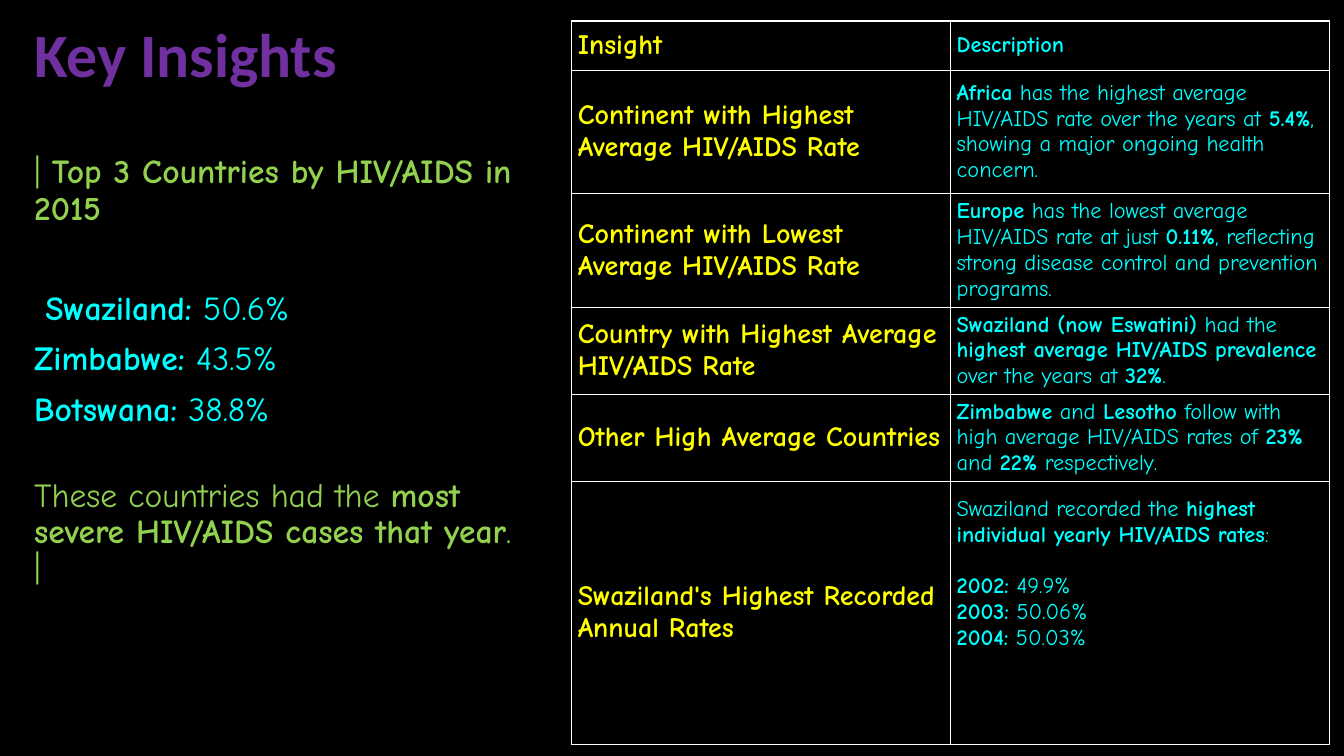
from pptx import Presentation
from pptx.dml.color import RGBColor
from pptx.enum.text import MSO_ANCHOR
from pptx.oxml import parse_xml
from pptx.oxml.ns import nsdecls
from pptx.util import Cm, Pt

HUES = {
    "black": "000000",
    "white": "FFFFFF",
    "purple": "7030A0",
    "green": "92D050",
    "cyan": "00FFFF",
    "yellow": "FFFF00",
}


def write(para, text, size, hue, face="Comic Neue"):
    para.font.size = Pt(size)
    para.font.name = face
    para.font.color.rgb = RGBColor.from_string(HUES[hue])
    for i, part in enumerate(text.split("**")):
        if part:
            run = para.add_run()
            run.text = part
            run.font.bold = i % 2 == 1


def add_box(left, top, width, height):
    frame = slide.shapes.add_textbox(Cm(left), Cm(top), Cm(width), Cm(height)).text_frame
    frame.word_wrap = True
    return frame


deck = Presentation()
deck.slide_width, deck.slide_height = Cm(33.87), Cm(19.05)
slide = deck.slides.add_slide(deck.slide_layouts[6])
slide.background.fill.solid()
slide.background.fill.fore_color.rgb = RGBColor.from_string(HUES["black"])

title = add_box(0.61, 0.53, 12.65, 1.88)
title.vertical_anchor = MSO_ANCHOR.BOTTOM
title.paragraphs[0].line_spacing = 0.9
write(title.paragraphs[0], "**Key Insights**", 44, "purple", "Calibri")

points = [
    ("| **Top 3 Countries by HIV/AIDS in 2015**", "green", 10),
    (" **Swaziland:** 50.6%", "cyan", 45.7),
    ("**Zimbabwe:** 43.5%", "cyan", 10),
    ("**Botswana:** 38.8%", "cyan", 10),
    ("These countries had the **most severe HIV/AIDS cases that year**. |", "green", 35.7),
]
body = add_box(0.61, 3.78, 12.65, 14.25)
for i, (text, hue, gap) in enumerate(points):
    para = body.add_paragraph() if i else body.paragraphs[0]
    para.line_spacing = 0.9
    para.space_before = Pt(gap)
    write(para, text, 24, hue)

rows = [
    (1.24, "Insight", ["**Description**"]),
    (3.1, "Continent with Highest Average HIV/AIDS Rate", [
        "**Africa** has the highest average HIV/AIDS rate over the years at **5.4%**, "
        "showing a major ongoing health concern."]),
    (2.74, "Continent with Lowest Average HIV/AIDS Rate", [
        "**Europe** has the lowest average HIV/AIDS rate at just **0.11%**, "
        "reflecting strong disease control and prevention programs."]),
    (2.16, "Country with Highest Average HIV/AIDS Rate", [
        "**Swaziland (now Eswatini)** had the **highest average HIV/AIDS prevalence** "
        "over the years at **32%**."]),
    (2.16, "Other High Average Countries", [
        "**Zimbabwe** and **Lesotho** follow with high average HIV/AIDS rates of "
        "**23%** and **22%** respectively."]),
    (6.63, "Swaziland's Highest Recorded Annual Rates", [
        "Swaziland recorded the **highest individual yearly HIV/AIDS rates**:",
        "**2002:** 49.9%", "**2003:** 50.06%", "**2004:** 50.03%"]),
]
high = sum(row[0] for row in rows)
table = slide.shapes.add_table(len(rows), 2, Cm(14.4), Cm(0.53), Cm(19.1), Cm(high)).table
table.first_row = table.horz_banding = False

for r, (tall, insight, lines) in enumerate(rows):
    table.rows[r].height = Cm(tall)
    for c, (texts, size, hue) in enumerate([([f"**{insight}**"], 20, "yellow"), (lines, 16, "cyan")]):
        cell = table.cell(r, c)
        cell.vertical_anchor = MSO_ANCHOR.MIDDLE
        cell.margin_left = cell.margin_right = Cm(0.16)
        cell.margin_top = cell.margin_bottom = Cm(0.08)
        for i, text in enumerate(texts):
            para = cell.text_frame.add_paragraph() if i else cell.text_frame.paragraphs[0]
            write(para, text, size, hue)
        for side in "LRTB":
            cell._tc.get_or_add_tcPr().append(parse_xml(
                f'<a:ln{side} {nsdecls("a")} w="12700"><a:solidFill>'
                f'<a:srgbClr val="{HUES["white"]}"/></a:solidFill></a:ln{side}>'))
        cell.fill.background()

rates = table.cell(len(rows) - 1, 1)
rates.margin_bottom = Cm(2.04)
rates.text_frame.paragraphs[1].space_before = Pt(18.3)

deck.save("out.pptx")
